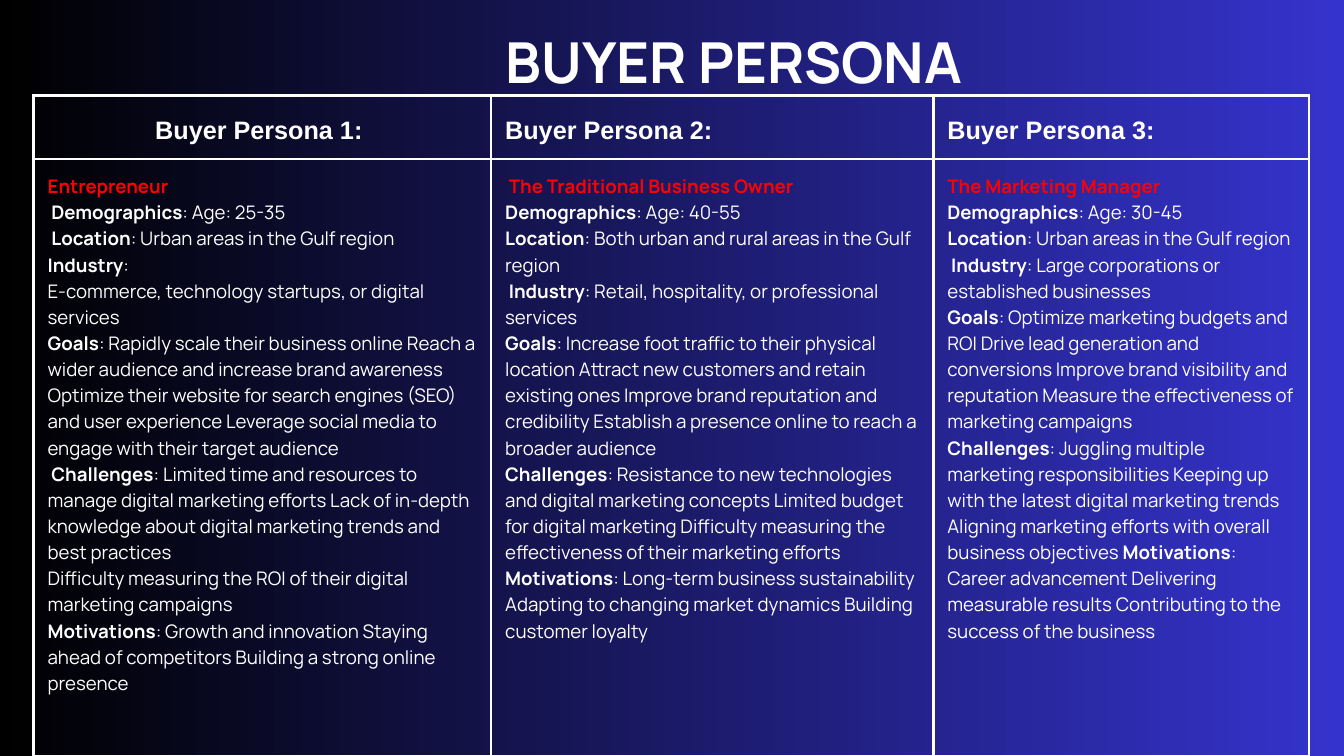
from dataclasses import dataclass

import pptx
import pptx.dml.color
import pptx.enum.text
import pptx.oxml
import pptx.oxml.ns
import pptx.table
import pptx.text.text
import pptx.util

Pt = pptx.util.Pt
RGB = pptx.dml.color.RGBColor
Align = pptx.enum.text.PP_ALIGN
Anchor = pptx.enum.text.MSO_ANCHOR

BLACK = RGB(0x00, 0x00, 0x00)
BLUE = RGB(0x35, 0x33, 0xCD)
WHITE = RGB(0xFF, 0xFF, 0xFF)
RED = RGB(0xFF, 0x00, 0x00)


@dataclass
class Style:
    face: str
    size: float
    lead: float


@dataclass
class Persona:
    """Text between asterisks is bold; a bold part led by ! is red."""
    head: str
    width: float
    lines: list[str]
    align: Align = Align.LEFT


TITLE = Style("Manrope", 60.5, 84.6)
HEAD = Style("Arial", 27, 37.8)
BODY = Style("Manrope", 20, 28)

PERSONAS = [
    Persona("*Buyer Persona 1: *", 490.3, [
        "*!Entrepreneur*",
        " *Demographics*: Age: 25-35",
        " *Location*: Urban areas in the Gulf region *Industry*:",
        "E-commerce, technology startups, or digital services",
        "*Goals*: Rapidly scale their business online Reach a wider audience and increase "
        "brand awareness Optimize their website for search engines (SEO) and user experience "
        "Leverage social media to engage with their target audience",
        " *Challenges*: Limited time and resources to manage digital marketing efforts Lack of "
        "in-depth knowledge about digital marketing trends and best practices",
        "Difficulty measuring the ROI of their digital marketing campaigns",
        "*Motivations*: Growth and innovation Staying ahead of competitors Building a strong "
        "online presence",
    ], Align.CENTER),
    Persona("*Buyer Persona 2:*", 473.8, [
        " *!The Traditional Business Owner **Demographics*: Age: 40-55",
        "*Location*: Both urban and rural areas in the Gulf region",
        " *Industry*: Retail, hospitality, or professional services",
        "*Goals*: Increase foot traffic to their physical location Attract new customers and "
        "retain existing ones Improve brand reputation and credibility Establish a presence "
        "online to reach a broader audience",
        "*Challenges*: Resistance to new technologies and digital marketing concepts Limited "
        "budget for digital marketing Difficulty measuring the effectiveness of their "
        "marketing efforts",
        "*Motivations*: Long-term business sustainability Adapting to changing market dynamics "
        "Building customer loyalty",
    ]),
    Persona("*Buyer Persona 3:*", 402.5, [
        "*!The Marketing Manager **Demographics*: Age: 30-45",
        "*Location*: Urban areas in the Gulf region",
        " *Industry*: Large corporations or established businesses",
        "*Goals*: Optimize marketing budgets and ROI Drive lead generation and conversions "
        "Improve brand visibility and reputation Measure the effectiveness of marketing "
        "campaigns",
        "*Challenges*: Juggling multiple marketing responsibilities Keeping up with the latest "
        "digital marketing trends Aligning marketing efforts with overall business objectives "
        "*Motivations*: Career advancement Delivering measurable results Contributing to the "
        "success of the business",
    ]),
]


def write(frame: pptx.text.text.TextFrame, lines: list[str], style: Style,
          align: Align = Align.LEFT) -> None:
    for i, line in enumerate(lines):
        para = frame.add_paragraph() if i else frame.paragraphs[0]
        para.alignment = align
        para.line_spacing = Pt(style.lead)
        font = para.font
        font.name, font.size = style.face, Pt(style.size)
        font.color.rgb = WHITE
        for j, part in enumerate(line.split("*")):
            if not part:
                continue
            run = para.add_run()
            run.text = part.removeprefix("!")
            run.font.bold = j % 2 == 1
            if part.startswith("!"):
                run.font.color.rgb = RED


def frame_cell(cell: pptx.table._Cell) -> None:
    """Clear the fill, set the margins and rule all four sides."""
    cell.fill.background()
    cell.margin_left = cell.margin_right = Pt(15)
    cell.margin_top = cell.margin_bottom = Pt(15)
    props = cell._tc.get_or_add_tcPr()
    for i, side in enumerate(("lnL", "lnR", "lnT", "lnB")):
        props.insert(i, pptx.oxml.parse_xml(
            f'<a:{side} {pptx.oxml.ns.nsdecls("a")} w="{Pt(3)}"><a:solidFill>'
            f'<a:srgbClr val="{WHITE}"/></a:solidFill></a:{side}>'))


def main() -> None:
    deck = pptx.Presentation()
    deck.slide_width, deck.slide_height = Pt(1440), Pt(810)
    slide = deck.slides.add_slide(deck.slide_layouts[6])

    back = slide.background.fill
    back.gradient()
    back.gradient_angle = 0
    for stop, color, place in zip(back.gradient_stops, (BLACK, BLUE), (0, 1)):
        stop.color.rgb = color
        stop.position = place

    width = sum(p.width for p in PERSONAS)
    table = slide.shapes.add_table(
        2, len(PERSONAS), Pt(36), Pt(102.5), Pt(width), Pt(708)).table
    table.first_row = table.horz_banding = False
    table.rows[0].height, table.rows[1].height = Pt(68), Pt(640)
    for i, persona in enumerate(PERSONAS):
        table.columns[i].width = Pt(persona.width)
        head, body = table.cell(0, i), table.cell(1, i)
        for cell in (head, body):
            frame_cell(cell)
        head.vertical_anchor = Anchor.MIDDLE
        write(head.text_frame, [persona.head], HEAD, persona.align)
        write(body.text_frame, persona.lines, BODY)

    frame = slide.shapes.add_textbox(Pt(542), Pt(17.5), Pt(572.5), Pt(85.5)).text_frame
    frame.word_wrap = True
    frame.margin_left = frame.margin_right = 0
    frame.margin_top = frame.margin_bottom = 0
    write(frame, ["*BUYER PERSONA*"], TITLE)

    deck.save("out.pptx")


if __name__ == "__main__":
    main()
